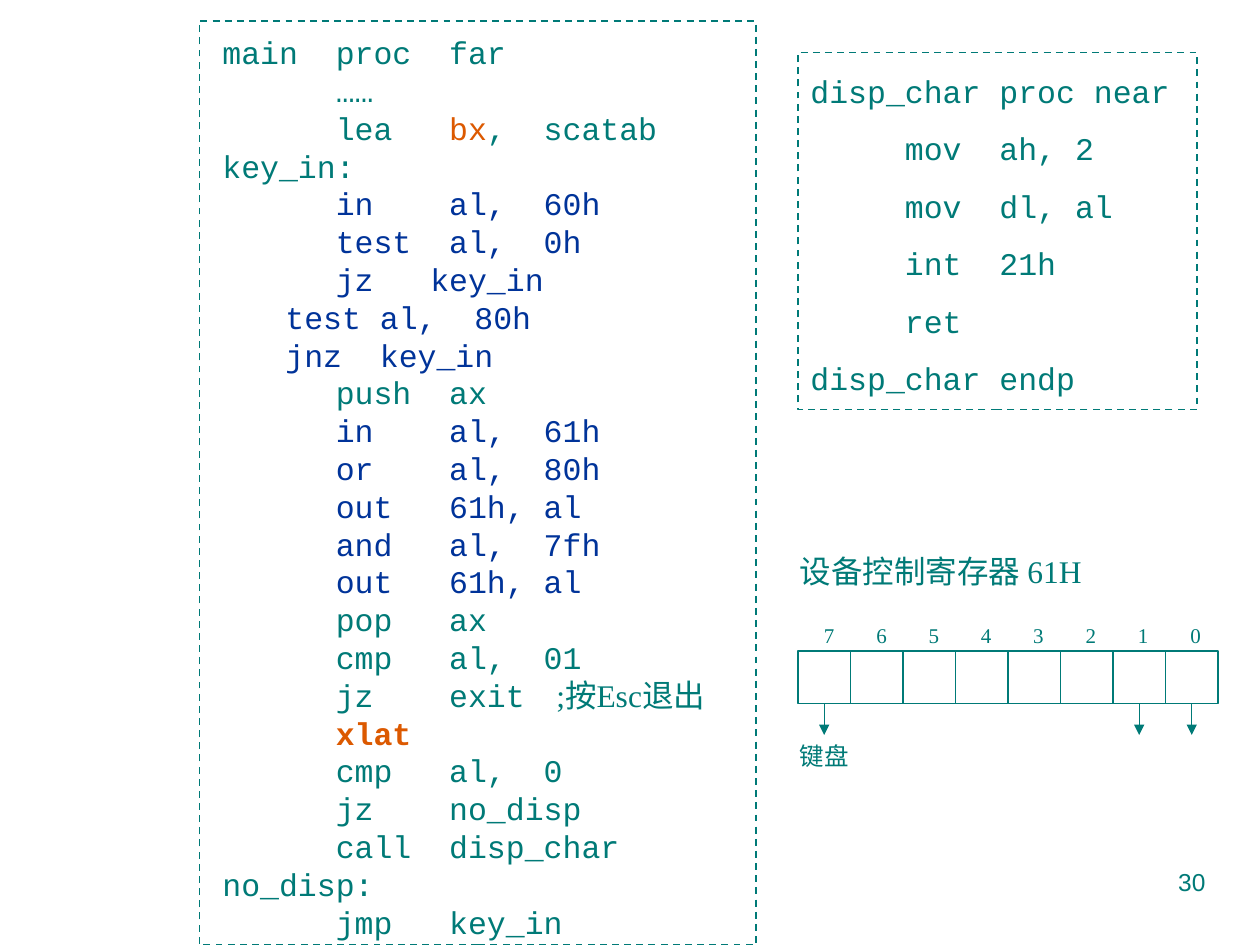
from pptx import Presentation
from pptx.dml.color import RGBColor as RGB
from pptx.enum.dml import MSO_LINE_DASH_STYLE as Dash
from pptx.enum.shapes import MSO_CONNECTOR as Conn, MSO_SHAPE as Shape
from pptx.enum.text import PP_ALIGN as Align
from pptx.oxml.ns import qn
from pptx.util import Pt
from lxml.etree import SubElement as Sub

HUES = {"teal": "007A77", "blue": "003399", "red": "DC5900"}
MONO, SERIF, SANS = "Courier New", "Times New Roman", "Arial"

deck = Presentation()
deck.slide_width, deck.slide_height = Pt(720), Pt(540)
page = deck.slides.add_slide(deck.slide_layouts[6])
forms = page.shapes


def add_text(area, lines, name, size, **style):
    """Each line is a list of (hue, text) runs; style goes to every paragraph."""
    frame = forms.add_textbox(*map(Pt, area)).text_frame
    frame.word_wrap = True
    for i, line in enumerate(lines):
        para = frame.paragraphs[0] if i == 0 else frame.add_paragraph()
        for key, val in style.items():
            if i or key != "space_before":
                setattr(para, key, val)
        for hue, text in line:
            run = para.add_run()
            run.text = text
            look = {"name": name, "size": Pt(size), "bold": text == "xlat"}
            if text.strip().startswith(";"):
                look["name"] = SERIF
            for key, val in look.items():
                setattr(run.font, key, val)
            run.font.color.rgb = RGB.from_string(HUES[hue])
    return frame


def add_rect(area, width, dash=None):
    rect = forms.add_shape(Shape.RECTANGLE, *map(Pt, area))
    rect.shadow.inherit = False
    rect.fill.background()
    rect.line.color.rgb = RGB.from_string(HUES["teal"])
    rect.line.width = Pt(width)
    if dash:
        rect.line.dash_style = dash
    return rect


# Page number
add_text((516, 492, 180, 37), [[("teal", "30")]], SANS, 14, alignment=Align.RIGHT)

# Main procedure
main = [
    [("teal", "main  proc  far")],
    [("teal", "      ……")],
    [("teal", "      lea   "), ("red", "bx"), ("teal", ",  scatab")],
    [("teal", "key_in:")],
    [("blue", "      in    al,  60h")],
    [("blue", "      test  al,  0h")],
    [("blue", "      jz   key_in")],
    [("blue", "\ttest al,  80h")],
    [("blue", "\tjnz  key_in")],
    [("teal", "      push  ax")],
    [("blue", "      in    al,  61h")],
    [("blue", "      or    al,  80h")],
    [("blue", "      out   61h, al")],
    [("blue", "      and   al,  7fh")],
    [("blue", "      out   61h, al")],
    [("teal", "      pop   ax")],
    [("teal", "      cmp   al,  01")],
    [("teal", "      jz    exit"), ("teal", "    ;按Esc退出")],
    [("teal", "      "), ("red", "xlat")],
    [("teal", "      cmp   al,  0")],
    [("teal", "      jz    no_disp")],
    [("teal", "      call  disp_char")],
    [("teal", "no_disp:")],
    [("teal", "      jmp   key_in")],
]
add_text((120, 15.5, 312, 524), main, MONO, 18, line_spacing=Pt(21.6))
add_rect((114, 12, 318, 528), 1, Dash.DASH)

# Display procedure
disp = [
    "disp_char proc near",
    "     mov  ah, 2",
    "     mov  dl, al",
    "     int  21h",
    "     ret",
    "disp_char endp",
]
add_text((456, 37.5, 228, 193), [[("teal", row)] for row in disp], MONO, 18,
         line_spacing=Pt(21.6), space_before=Pt(11.25))
add_rect((456, 30, 228, 204), 1, Dash.DASH)

# Register heading and bit numbers
LEFT, TOP, SIDE, BITS = 456, 372, 30, 8
add_text((450, 312, 186, 29), [[("teal", "设备控制寄存器 61H")]], SERIF, 18)
marks = "".join(f"\t{bit}" for bit in reversed(range(BITS)))
frame = add_text((LEFT, 352.5, 253, 22), [[("teal", marks)]], SERIF, 12)
tabs = Sub(frame.paragraphs[0]._p.get_or_add_pPr(), qn("a:tabLst"))
for i in range(BITS):
    Sub(tabs, qn("a:tab"), pos=str(Pt(10.75 + i * 29.9)), algn="ctr")

# Register cells
cells = [add_rect((LEFT + i * SIDE, TOP, SIDE, SIDE), 0.75) for i in range(BITS)]

# Arrows below bits 0, 1 and 7
for i in (7, 6, 0):
    mid, low = LEFT + (i + 0.5) * SIDE, TOP + SIDE
    arrow = forms.add_connector(Conn.STRAIGHT, Pt(mid), Pt(low), Pt(mid), Pt(low + 18))
    arrow.begin_connect(cells[i], 2)
    arrow.line.color.rgb = RGB.from_string(HUES["teal"])
    arrow.line.width = Pt(0.75)
    Sub(arrow.line._get_or_add_ln(), qn("a:tailEnd"), type="triangle")
    Sub(arrow._element.spPr, qn("a:effectLst"))

# Keyboard label
add_text((450, 420, 46, 24), [[("teal", "键盘")]], SERIF, 14)

deck.save("out.pptx")
